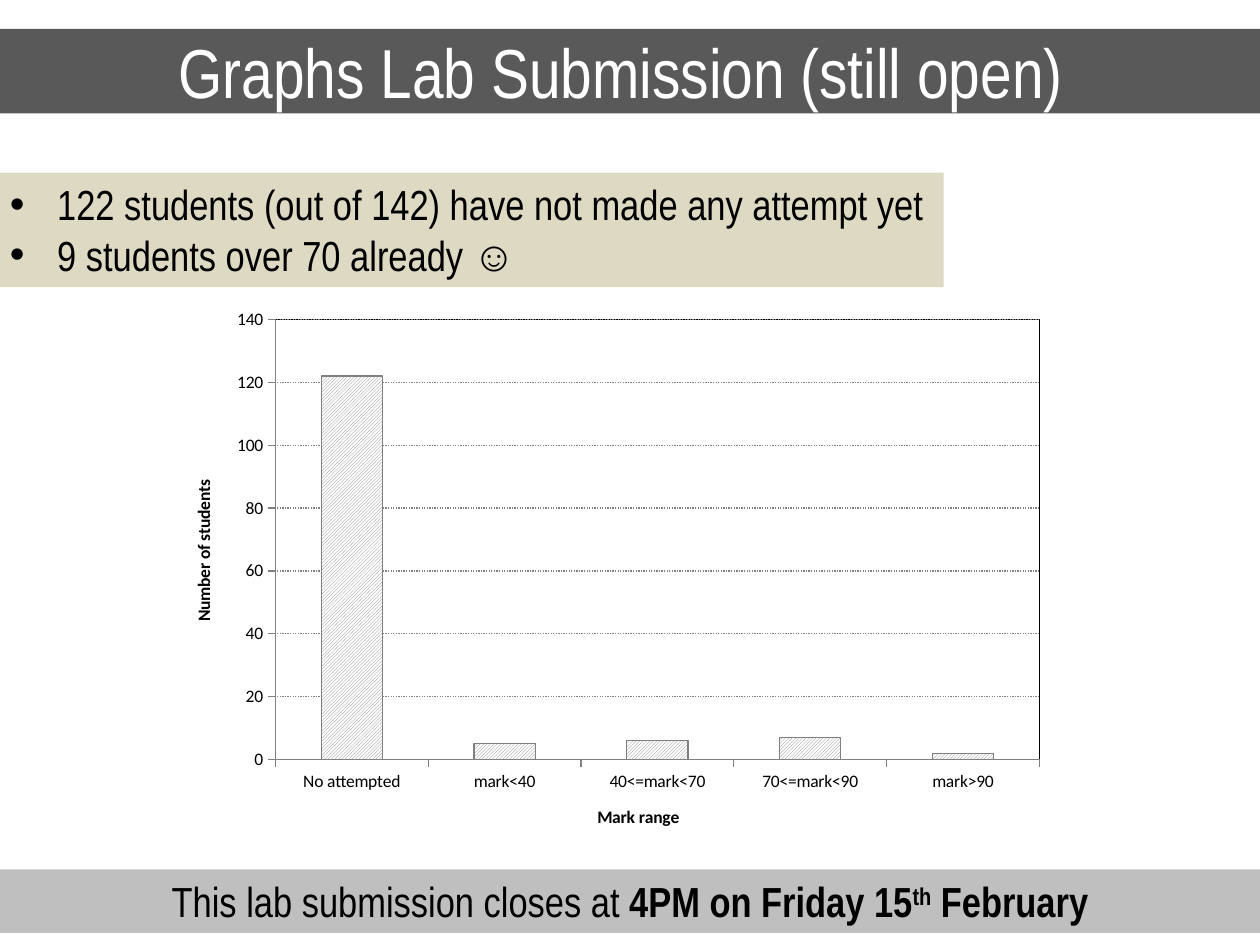
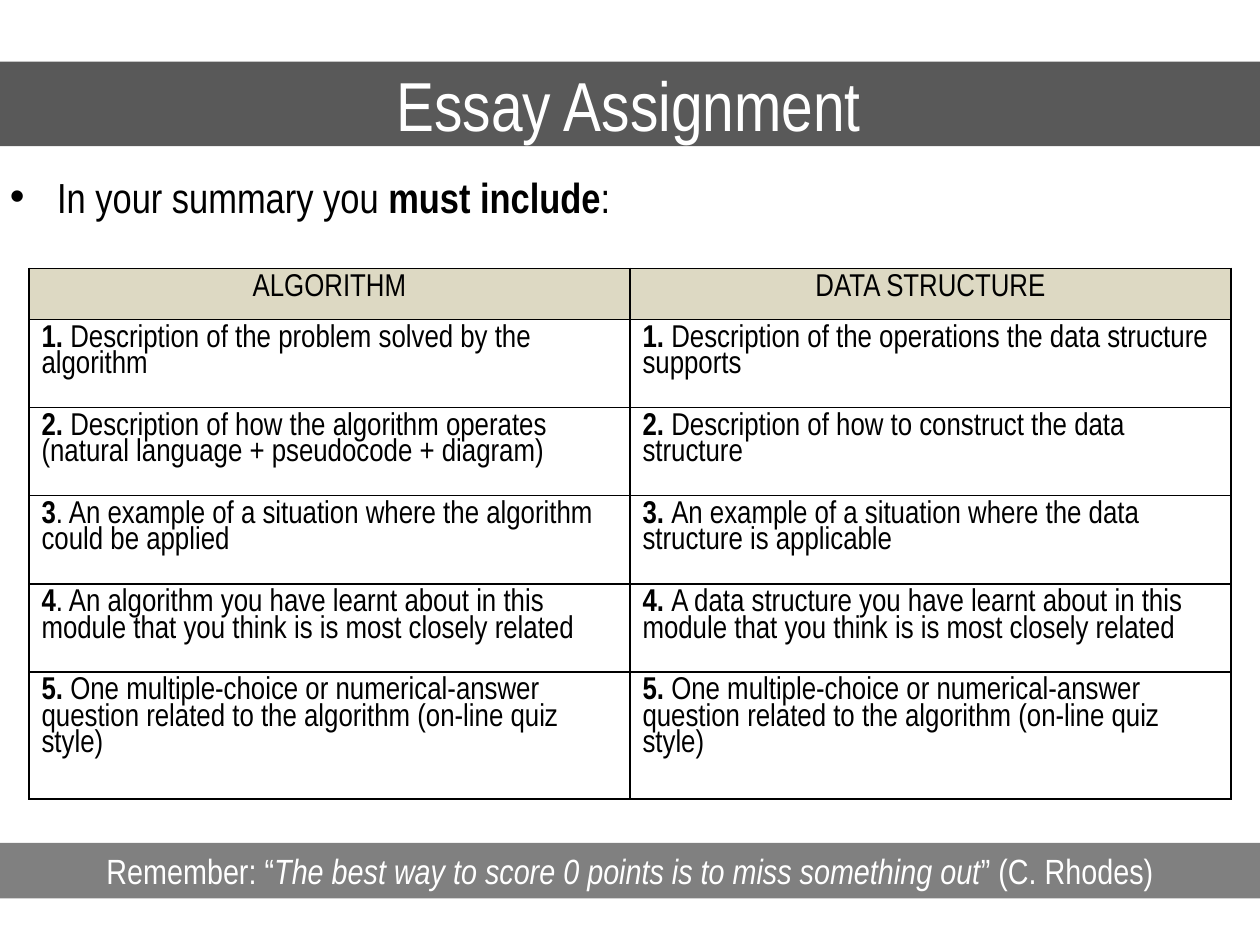
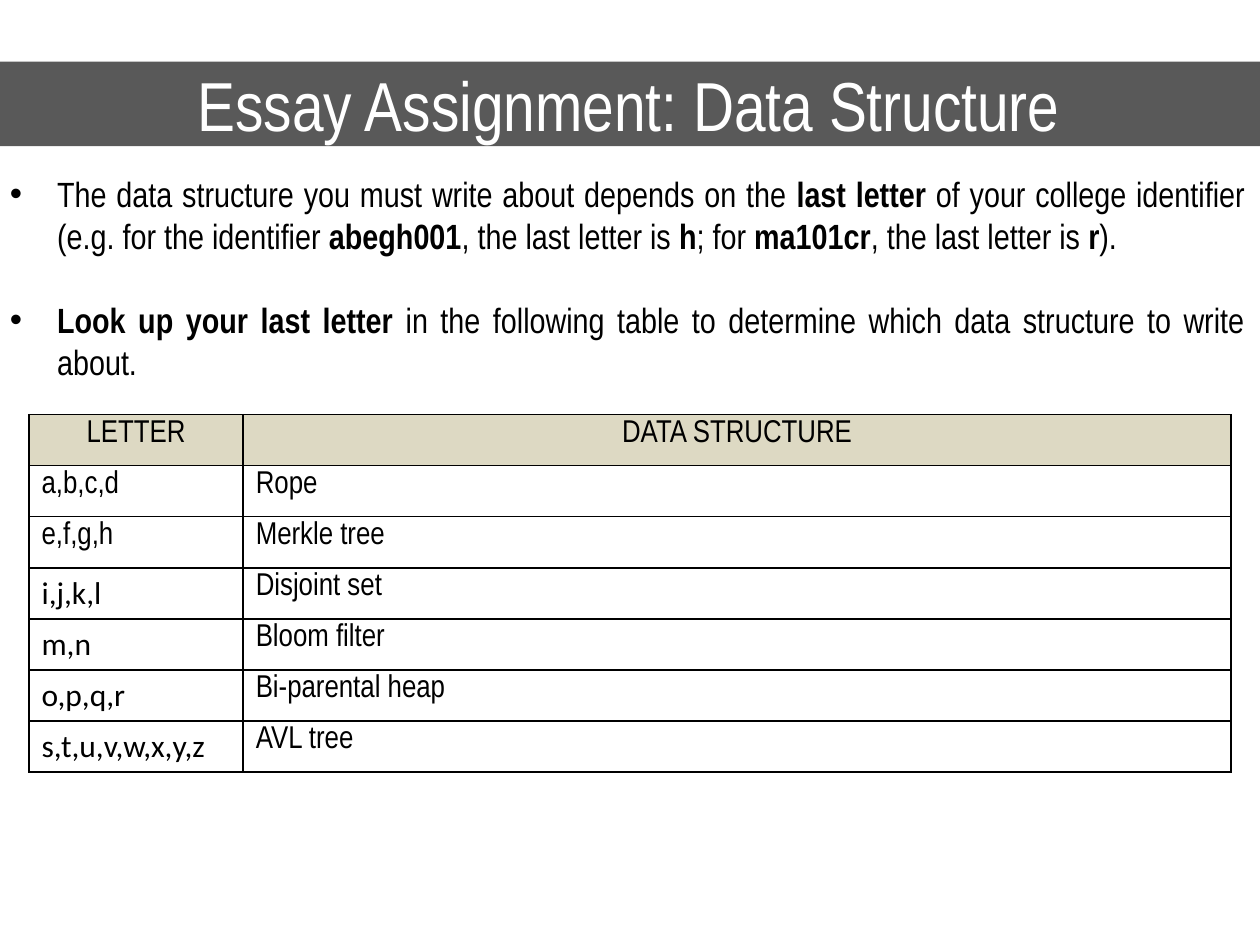
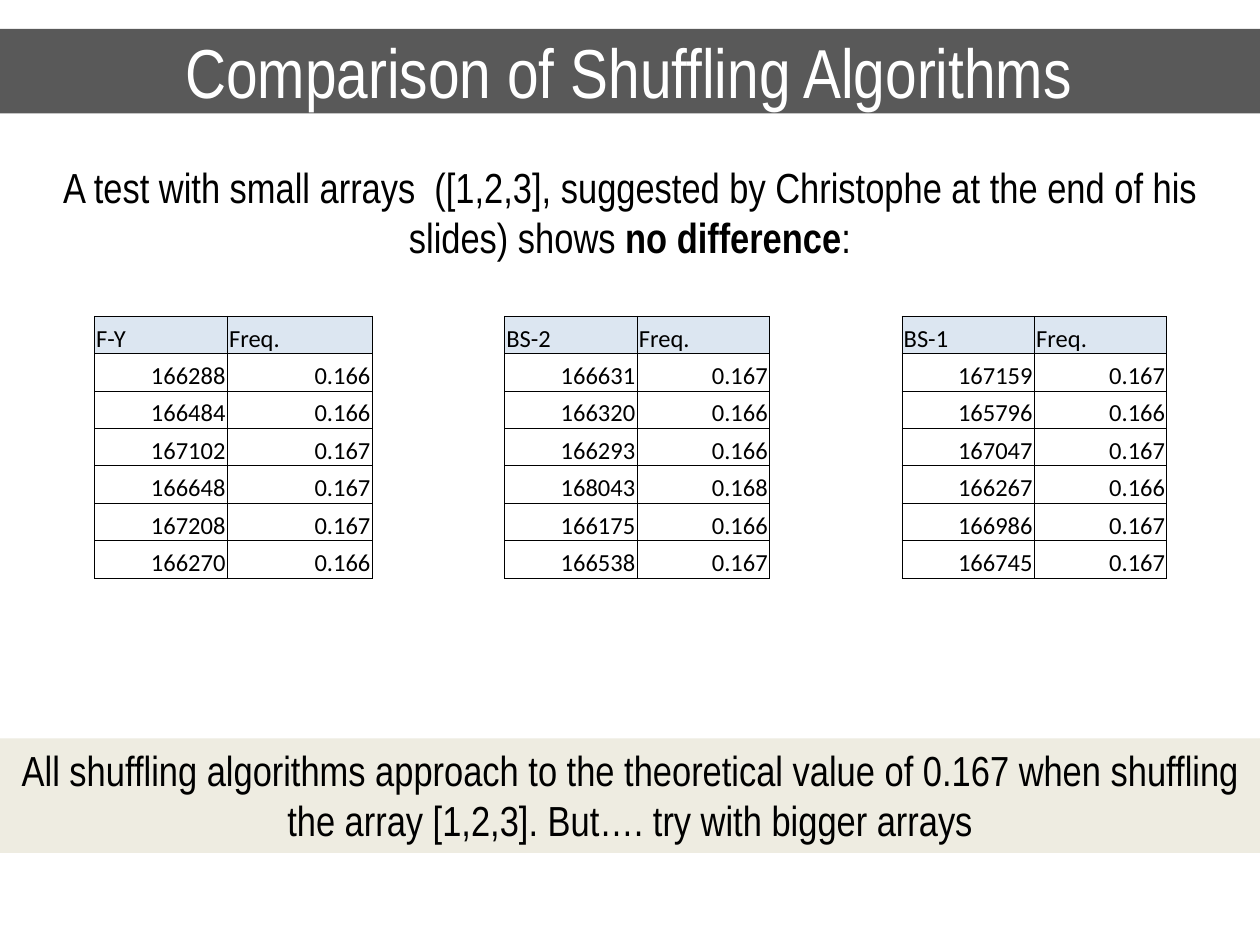
from lxml.etree import SubElement
from pptx import Presentation
from pptx.chart.data import CategoryChartData
from pptx.dml.color import RGBColor
from pptx.enum.chart import XL_CHART_TYPE, XL_TICK_MARK
from pptx.enum.dml import MSO_LINE, MSO_PATTERN
from pptx.enum.shapes import MSO_SHAPE
from pptx.enum.text import MSO_ANCHOR, PP_ALIGN
from pptx.oxml import parse_xml
from pptx.oxml.ns import nsdecls, qn
from pptx.util import Pt

COLOURS = {
    "black": "000000", "white": "FFFFFF", "title band": "595959",
    "light band": "BFBFBF", "dark band": "808080", "sand": "DDD9C3",
    "pale sand": "EEECE1", "pale blue": "DCE6F1", "chart grey": "808080",
}
NARROW, PLAIN = "Arial Narrow", "Calibri"
NO_STYLE_NO_GRID = "{2D5ABB26-0587-4C30-8999-92F81FD0307C}"
WIDTH, HEIGHT = 720, 540
EDGE = -1.44
HIGH_TITLE, LOW_TITLE = 16.56, 35.28
BULLET_INDENT = 27

# A paragraph is a list of runs: plain text, or (text, style)
# with style "b" bold, "i" italic, "sup" bold superscript.
LAB_POINTS = [
    ["122 students (out of 142) have not made any attempt yet"],
    ["9 students over 70 already ☺"],
]
LAB_DEADLINE = [["This lab submission closes at ", ("4PM on Friday 15", "b"),
                 ("th", "sup"), (" February", "b")]]
MARKS = {"No attempted": 122, "mark<40": 5, "40<=mark<70": 6,
         "70<=mark<90": 7, "mark>90": 2}

SUMMARY_INTRO = [["In your summary you ", ("must include", "b"), ":"]]
SUMMARY_HEADERS = ["ALGORITHM", "DATA STRUCTURE"]
QUIZ = "One multiple-choice or numerical-answer question related to the algorithm (on-line quiz style)"
SUMMARY_ITEMS = [
    [[("1. ", "b"), "Description of the problem solved by the algorithm"],
     [("1. ", "b"), "Description of the operations the data structure supports"]],
    [[("2. ", "b"), "Description of how the algorithm operates (natural language + pseudocode + diagram)"],
     [("2. ", "b"), "Description of how to construct the data structure"]],
    [[("3", "b"), ". An example of a situation where the algorithm could be applied"],
     [("3. ", "b"), "An example of a situation where the data structure is applicable"]],
    [[("4", "b"), ". An algorithm you have learnt about in this module that you think is is most closely related"],
     [("4. ", "b"), "A data structure you have learnt about in this module that you think is is most closely related"]],
    [[("5. ", "b"), QUIZ], [("5. ", "b"), QUIZ]],
]
REMINDER = [["Remember: “", ("The best way to score 0 points is to miss something out", "i"),
             "” (C. Rhodes)"]]

LETTER_RULES = [
    ["The data structure you must write about depends on the ", ("last letter ", "b"),
     "of your college identifier (e.g. for the identifier ", ("abegh001", "b"),
     ", the last letter is ", ("h", "b"), "; for ", ("ma101cr", "b"),
     ", the last letter is ", ("r", "b"), ")."],
    [("Look up your last letter ", "b"),
     "in the following table to determine which data structure to write about."],
]
LETTER_HEADERS = ["LETTER", "DATA STRUCTURE"]
LETTERS = [  # letters, their font, data structure
    ("a,b,c,d", NARROW, "Rope"),
    ("e,f,g,h", NARROW, "Merkle tree"),
    ("i,j,k,l", PLAIN, "Disjoint set"),
    ("m,n", PLAIN, "Bloom filter"),
    ("o,p,q,r", PLAIN, "Bi-parental heap"),
    ("s,t,u,v,w,x,y,z", PLAIN, "AVL tree"),
]

SHUFFLE_INTRO = [["A test with small arrays  ([1,2,3], suggested by Christophe at the end of his slides) shows ",
                  ("no difference", "b"), ":"]]
SHUFFLE_COUNTS = {
    "F-Y": [166288, 166484, 167102, 166648, 167208, 166270],
    "BS-2": [166631, 166320, 166293, 168043, 166175, 166538],
    "BS-1": [167159, 165796, 167047, 166267, 166986, 166745],
}
SHUFFLE_TRIALS = 1_000_000
SHUFFLE_CONCLUSION = [["All shuffling algorithms approach to the theoretical value of 0.167 "
                       "when shuffling the array [1,2,3]. But…. try with bigger arrays"]]


def colour(name):
    return RGBColor.from_string(COLOURS[name])


def write_runs(paragraph, runs, size, text_colour="black", font_name=NARROW):
    for item in runs:
        text, style = (item, "") if isinstance(item, str) else item
        run = paragraph.add_run()
        run.text = text
        font = run.font
        font.name, font.size = font_name, Pt(size)
        font.color.rgb = colour(text_colour)
        font.bold = style in ("b", "sup")
        font.italic = style == "i"
        if style == "sup":
            run._r.get_or_add_rPr().set("baseline", "30000")


def write_paragraphs(frame, paragraphs, size, text_colour="black",
                     align=PP_ALIGN.CENTER, bullets=False, gap=0):
    frame.word_wrap = True
    for index, runs in enumerate(paragraphs):
        paragraph = frame.add_paragraph() if index else frame.paragraphs[0]
        paragraph.alignment = align
        if bullets:
            properties = paragraph._p.get_or_add_pPr()
            properties.set("marL", str(Pt(BULLET_INDENT)))
            properties.set("indent", str(-Pt(BULLET_INDENT)))
            SubElement(properties, qn("a:buFont"), typeface="Arial")
            SubElement(properties, qn("a:buChar"), char="•")
        if index and gap:
            paragraph.space_before = Pt(gap)
        write_runs(paragraph, runs, size, text_colour)


def add_band(slide, box, fill, paragraphs, size, anchor=MSO_ANCHOR.TOP, **text_options):
    shape = slide.shapes.add_shape(MSO_SHAPE.RECTANGLE, *map(Pt, box))
    shape.shadow.inherit = False
    shape.fill.solid()
    shape.fill.fore_color.rgb = colour(fill)
    shape.line.fill.background()
    shape.text_frame.vertical_anchor = anchor
    write_paragraphs(shape.text_frame, paragraphs, size, **text_options)


def add_text(slide, box, paragraphs, size, **text_options):
    text_box = slide.shapes.add_textbox(*map(Pt, box))
    write_paragraphs(text_box.text_frame, paragraphs, size, **text_options)


def add_titled_slide(presentation, title, top):
    slide = presentation.slides.add_slide(presentation.slide_layouts[6])
    add_band(slide, (EDGE, top, WIDTH - EDGE, 48.24), "title band", [[title]], 39.6,
             anchor=MSO_ANCHOR.MIDDLE, text_colour="white")
    return slide


def add_plain_table(slide, left, top, column_widths, row_heights):
    """Add a table without header, band or grid styling."""
    frame = slide.shapes.add_table(len(row_heights), len(column_widths), Pt(left), Pt(top),
                                   Pt(sum(column_widths)), Pt(sum(row_heights)))
    table = frame.table
    table.first_row = table.horz_banding = False
    table._tbl.tblPr.find(qn("a:tableStyleId")).text = NO_STYLE_NO_GRID
    for column, width in zip(table.columns, column_widths):
        column.width = Pt(width)
    for row, height in zip(table.rows, row_heights):
        row.height = Pt(height)
    return table


def style_cell(cell, border_width, fill=None, sides="LRTB"):
    properties = cell._tc.get_or_add_tcPr()
    for side in sides:
        properties.append(parse_xml(
            f'<a:ln{side} {nsdecls("a")} w="{Pt(border_width)}"><a:solidFill>'
            f'<a:srgbClr val="{COLOURS["black"]}"/></a:solidFill></a:ln{side}>'))
    if fill:
        cell.fill.solid()
        cell.fill.fore_color.rgb = colour(fill)
    else:
        cell.fill.background()


def write_essay_cell(cell, runs, header=False, font_name=NARROW):
    style_cell(cell, 1, "sand" if header else None)
    paragraph = cell.text_frame.paragraphs[0]
    paragraph.alignment = PP_ALIGN.CENTER if header else PP_ALIGN.LEFT
    if font_name == NARROW:
        paragraph.line_spacing = 0.9
    write_runs(paragraph, runs, 18, font_name=font_name)


def write_essay_headers(table, headers):
    for column, header in enumerate(headers):
        write_essay_cell(table.cell(0, column), [header], header=True)


def write_count_cell(cell, text, align, fill=None):
    style_cell(cell, 0.5, fill)
    cell.vertical_anchor = MSO_ANCHOR.BOTTOM
    cell.margin_left = cell.margin_right = cell.margin_top = Pt(1)
    cell.margin_bottom = 0
    paragraph = cell.text_frame.paragraphs[0]
    paragraph.alignment = align
    write_runs(paragraph, [text], 14, font_name=PLAIN)


def style_axis(axis, title):
    axis.has_title = True
    axis.axis_title.text_frame.text = title
    font = axis.axis_title.text_frame.paragraphs[0].runs[0].font
    font.name, font.size, font.bold = PLAIN, Pt(10), True
    font.color.rgb = colour("black")
    axis.major_tick_mark = XL_TICK_MARK.OUTSIDE
    axis.minor_tick_mark = XL_TICK_MARK.NONE
    axis.format.line.color.rgb = colour("chart grey")


def frame_plot_area(chart, x, y, width, height):
    """Fix the inner plot area, in fractions of the chart, and outline it."""
    plot_area = chart._chartSpace.chart.plotArea
    for layout in plot_area.findall(qn("c:layout")):
        plot_area.remove(layout)
    places = "".join(f'<c:{tag} val="{value}"/>'
                     for tag, value in zip("xywh", (x, y, width, height)))
    plot_area.insert(0, parse_xml(
        f'<c:layout {nsdecls("c")}><c:manualLayout><c:layoutTarget val="inner"/>'
        f'<c:xMode val="edge"/><c:yMode val="edge"/>{places}</c:manualLayout></c:layout>'))
    plot_area.append(parse_xml(
        f'<c:spPr {nsdecls("c", "a")}><a:noFill/><a:ln w="{Pt(0.75)}"><a:solidFill>'
        f'<a:srgbClr val="{COLOURS["black"]}"/></a:solidFill></a:ln></c:spPr>'))


def add_marks_chart(slide):
    data = CategoryChartData()
    data.categories = list(MARKS)
    data.add_series("Series 1", list(MARKS.values()))
    chart = slide.shapes.add_chart(XL_CHART_TYPE.COLUMN_CLUSTERED, Pt(96.48), Pt(169.92),
                                   Pt(507.6), Pt(318.24), data).chart
    chart.has_legend = chart.has_title = False
    chart.font.name, chart.font.size = PLAIN, Pt(10)
    chart.font.color.rgb = colour("black")
    style_axis(chart.category_axis, "Mark range")
    value_axis = chart.value_axis
    style_axis(value_axis, "Number of students")
    value_axis.minimum_scale, value_axis.maximum_scale, value_axis.major_unit = 0, 140, 20
    grid = value_axis.major_gridlines.format.line
    grid.color.rgb, grid.width = colour("chart grey"), Pt(0.75)
    grid.dash_style = MSO_LINE.ROUND_DOT
    plot = chart.plots[0]
    plot.gap_width, plot.vary_by_categories = 150, False
    series = plot.series[0]
    series.format.fill.patterned()
    series.format.fill.pattern = MSO_PATTERN.LIGHT_UPWARD_DIAGONAL
    series.format.fill.fore_color.rgb = colour("chart grey")
    series.format.fill.back_color.rgb = colour("white")
    series.format.line.color.rgb = colour("chart grey")
    series.format.line.width = Pt(0.75)
    frame_plot_area(chart, 0.12, 0.04, 0.86, 0.79)


def build_lab_slide(presentation):
    slide = add_titled_slide(presentation, "Graphs Lab Submission (still open) ", HIGH_TITLE)
    add_band(slide, (0, 496.8, WIDTH, 36.36), "light band", LAB_DEADLINE, 24)
    add_band(slide, (EDGE, 98.64, 540.72, 65.52), "sand", LAB_POINTS, 24,
             align=PP_ALIGN.LEFT, bullets=True)
    add_marks_chart(slide)


def build_summary_slide(presentation):
    slide = add_titled_slide(presentation, "Essay Assignment", LOW_TITLE)
    add_text(slide, (EDGE, 94.32, WIDTH, 36.36), SUMMARY_INTRO, 24,
             align=PP_ALIGN.JUSTIFY, bullets=True)
    table = add_plain_table(slide, 16.56, 153.36, [343.44] * 2, [29.2] + [50.35] * 4 + [72.6])
    write_essay_headers(table, SUMMARY_HEADERS)
    for row, items in enumerate(SUMMARY_ITEMS, start=1):
        for column, runs in enumerate(items):
            write_essay_cell(table.cell(row, column), runs)
    add_band(slide, (0, 481.68, WIDTH, 31.68), "dark band", REMINDER, 20, text_colour="white")


def build_letter_slide(presentation):
    slide = add_titled_slide(presentation, "Essay Assignment: Data Structure", LOW_TITLE)
    add_text(slide, (EDGE, 95.04, WIDTH, 128.16), LETTER_RULES, 20,
             align=PP_ALIGN.JUSTIFY, bullets=True, gap=24)
    table = add_plain_table(slide, 16.56, 236.88, [122.4, 564.48], [29.2] * (len(LETTERS) + 1))
    write_essay_headers(table, LETTER_HEADERS)
    for row, (letters, font_name, structure) in enumerate(LETTERS, start=1):
        write_essay_cell(table.cell(row, 0), [letters], font_name=font_name)
        write_essay_cell(table.cell(row, 1), [structure])


def build_shuffle_slide(presentation):
    slide = add_titled_slide(presentation, "Comparison of Shuffling Algorithms", HIGH_TITLE)
    add_text(slide, (0, 88.56, WIDTH, 65.52), SHUFFLE_INTRO, 24)
    table = add_plain_table(slide, 54, 180.72, [75.9, 82.8] + [75.7] * 6, [21.4] * 7)
    for group, (name, counts) in enumerate(SHUFFLE_COUNTS.items()):
        first = group * 3
        for column, header in enumerate((name, "Freq."), start=first):
            write_count_cell(table.cell(0, column), header, PP_ALIGN.LEFT, "pale blue")
        for row, count in enumerate(counts, start=1):
            frequency = f"{count / SHUFFLE_TRIALS:.3f}"
            for column, text in enumerate((str(count), frequency), start=first):
                write_count_cell(table.cell(row, column), text, PP_ALIGN.RIGHT)
    for gap_column in (2, 5):
        for row in range(len(table.rows)):
            cell = table.cell(row, gap_column)
            style_cell(cell, 0.5, sides="LR")
            cell.margin_top = cell.margin_bottom = 0
            cell.text_frame.paragraphs[0]._p.get_or_add_endParaRPr().set("sz", "1400")
    add_band(slide, (0, 421.92, WIDTH, 65.52), "pale sand", SHUFFLE_CONCLUSION, 24)


def main():
    presentation = Presentation()
    presentation.slide_width, presentation.slide_height = Pt(WIDTH), Pt(HEIGHT)
    build_lab_slide(presentation)
    build_summary_slide(presentation)
    build_letter_slide(presentation)
    build_shuffle_slide(presentation)
    presentation.save("out.pptx")


if __name__ == "__main__":
    main()
